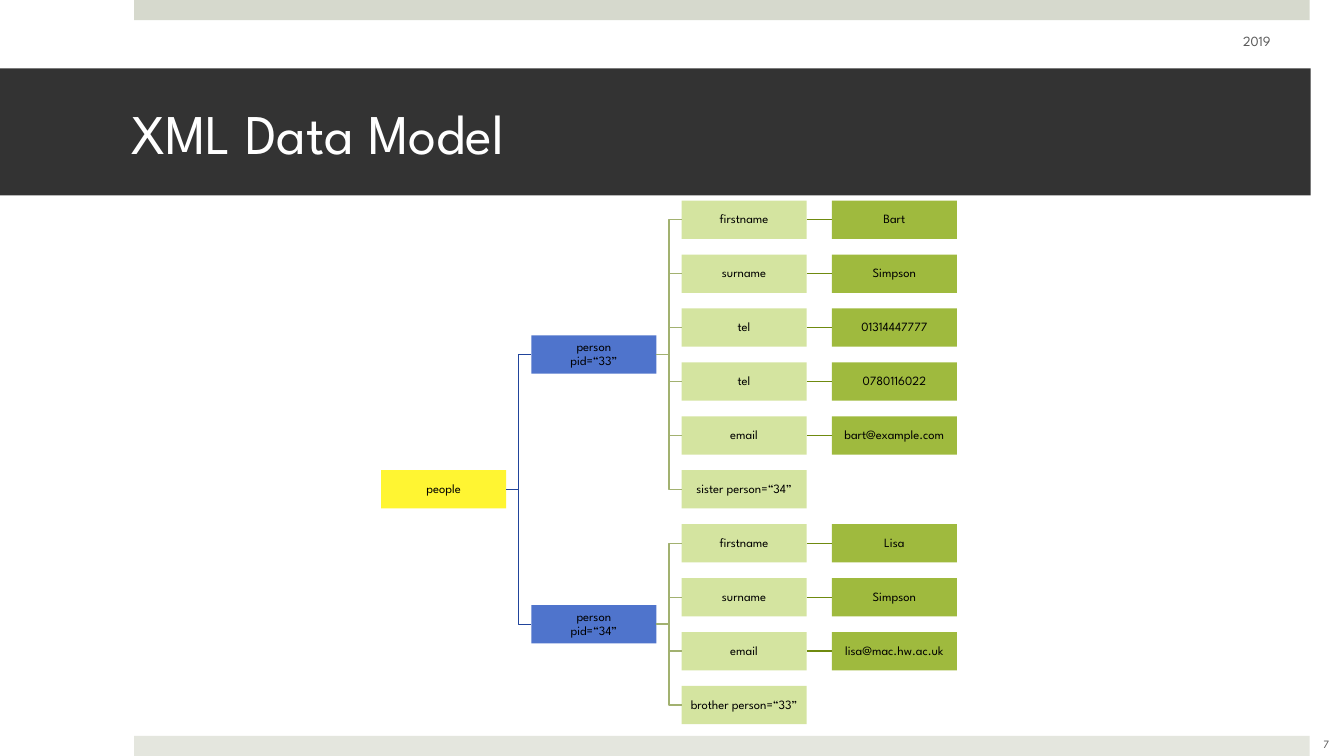
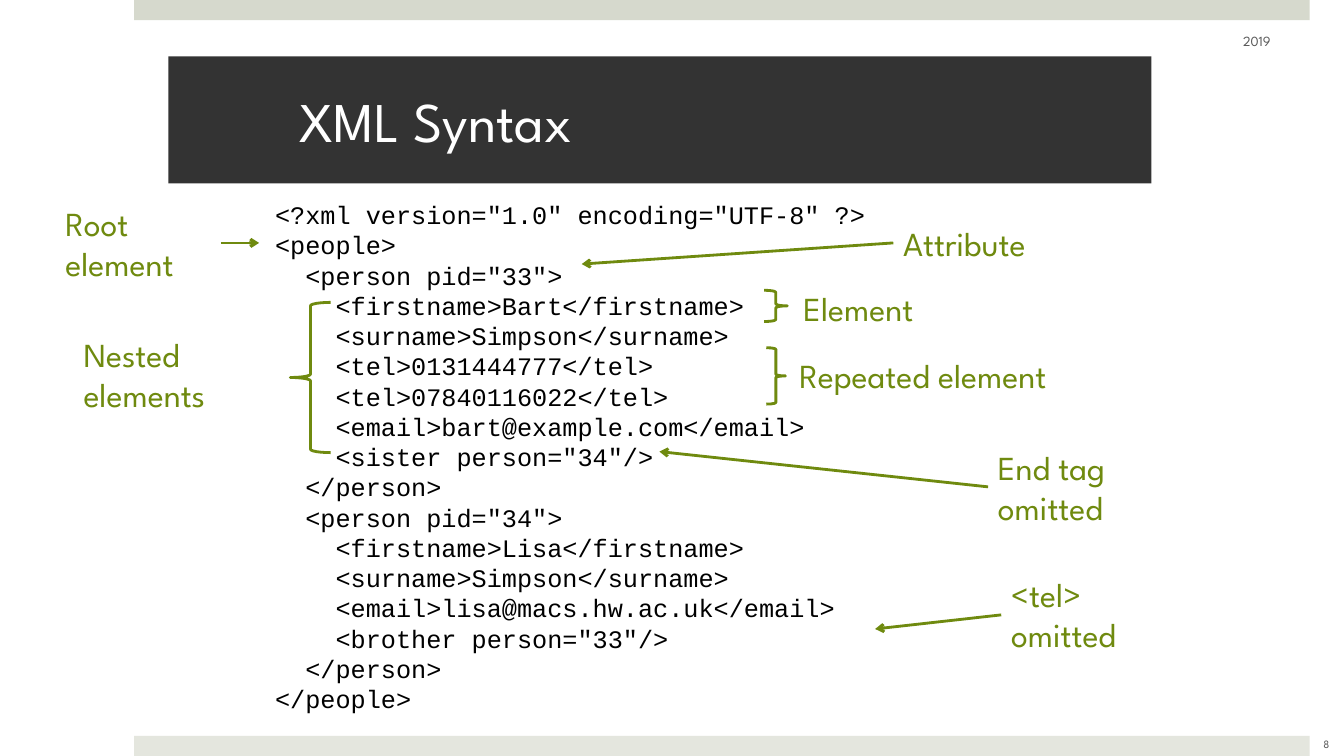
from lxml import etree
from pptx import Presentation
from pptx import util as u
from pptx.dml.color import RGBColor
from pptx.enum import shapes, text
from pptx.oxml.ns import qn

SANS, MONO = "League Spartan", "Courier New"
WHITE, BLACK, DARK, GREY = "FFFFFF", "000000", "333333", "595959"
TOP_BAND, BOTTOM_BAND = "D6D9CD", "E4E6DE"
YELLOW, BLUE, PALE_GREEN, GREEN = "FFF532", "4F74CC", "D4E4A0", "9FBA3E"
NAVY, SAGE, OLIVE = "21449B", "A2B170", "6F8A0F"

TREE = ("people", [
    ("person\vpid=“33”", [
        ("firstname", [("Bart", [])]),
        ("surname", [("Simpson", [])]),
        ("tel", [("01314447777", [])]),
        ("tel", [("0780116022", [])]),
        ("email", [("bart@example.com", [])]),
        ("sister person=“34”", []),
    ]),
    ("person\vpid=“34”", [
        ("firstname", [("Lisa", [])]),
        ("surname", [("Simpson", [])]),
        ("email", [("lisa@mac.hw.ac.uk", [])]),
        ("brother person=“33”", []),
    ]),
])
LEVEL_FILLS = [YELLOW, BLUE, PALE_GREEN, GREEN]
LINK_COLORS = [NAVY, SAGE, OLIVE]
TREE_LEFT, TREE_TOP = 3.78, 1.99
COLUMN_STEP, ROW_STEP = 1.49, 0.535
NODE_W, NODE_H = 1.24, 0.38

CODE = """<?xml version="1.0" encoding="UTF-8" ?>
<people>
  <person pid="33">
    <firstname>Bart</firstname>
    <surname>Simpson</surname>
    <tel>0131444777</tel>
    <tel>07840116022</tel>
    <email>bart@example.com</email>
    <sister person="34"/>
  </person>
  <person pid="34">
    <firstname>Lisa</firstname>
    <surname>Simpson</surname>
    <email>lisa@macs.hw.ac.uk</email>
    <brother person="33"/>
  </person>
</people>"""
LABELS = [
    ("Root\nelement", (0.55, 1.96, 1.64, 0.91)),
    ("Nested\nelements", (0.73, 3.26, 1.69, 0.91)),
    ("Attribute", (8.86, 2.16, 1.61, 0.5)),
    ("Element", (7.87, 2.81, 1.52, 0.5)),
    ("Repeated element", (7.83, 3.47, 3.32, 0.5)),
    ("End tag\nomitted", (9.8, 4.38, 1.57, 0.91)),
    ("<tel>\nomitted", (9.93, 5.64, 1.48, 0.91)),
]
ARROWS = [
    (2.19, 2.41, 2.57, 2.41),
    (8.86, 2.41, 5.77, 2.62),
    (9.8, 4.83, 6.54, 4.48),
    (9.93, 6.1, 8.68, 6.24),
]
BRACES = [
    ("LEFT_BRACE", (2.88, 3, 0.4, 1.49)),
    ("RIGHT_BRACE", (7.58, 2.88, 0.23, 0.31)),
    ("RIGHT_BRACE", (7.6, 3.45, 0.19, 0.56)),
]


def rgb(color):
    return RGBColor.from_string(color)


def inches(values):
    return [u.Inches(v) for v in values]


def write(sp, content, size, color, font=SANS, align="LEFT", anchor="MIDDLE",
          insets=(0.1, 0.05, 0.1, 0.05), spacing=None):
    tf = sp.text_frame
    tf.word_wrap = True
    tf.vertical_anchor = getattr(text.MSO_ANCHOR, anchor)
    (tf.margin_left, tf.margin_top,
     tf.margin_right, tf.margin_bottom) = inches(insets)
    tf.text = content
    for p in tf.paragraphs:
        p.alignment = getattr(text.PP_ALIGN, align)
        p.line_spacing = spacing
        for r in p.runs:
            r.font.size = u.Pt(size)
            r.font.name = font
            r.font.color.rgb = rgb(color)


def add_text(s, box, *args, **kwargs):
    write(s.shapes.add_textbox(*inches(box)), *args, **kwargs)


def add_block(s, box, fill):
    sp = s.shapes.add_shape(shapes.MSO_SHAPE.RECTANGLE, *inches(box))
    sp.shadow.inherit = False
    sp.fill.solid()
    sp.fill.fore_color.rgb = rgb(fill)
    sp.line.fill.background()
    return sp


def add_line(s, ends, color, width, kind="STRAIGHT", arrow=False):
    cx = s.shapes.add_connector(getattr(shapes.MSO_CONNECTOR, kind), *inches(ends))
    cx.line.color.rgb = rgb(color)
    cx.line.width = u.Pt(width)
    if arrow:
        etree.SubElement(cx.line._get_or_add_ln(), qn("a:tailEnd"), type="arrow")
    etree.SubElement(cx._element.spPr, qn("a:effectLst"))
    return cx


def add_slide(prs, title, title_box, number):
    s = prs.slides.add_slide(prs.slide_layouts[6])
    add_block(s, (1.33, 0, 11.66, 0.2), TOP_BAND)
    add_block(s, (1.33, 7.3, 11.66, 0.2), BOTTOM_BAND)
    write(add_block(s, title_box, DARK), title, 40, WHITE,
          insets=(1.3, 0.05, 0.3, 0.05))
    add_text(s, (9.59, 0.21, 3.11, 0.4), "2019", 10, GREY, align="RIGHT")
    add_text(s, (12.82, 7.18, 0.67, 0.4), number, 8, GREY, align="CENTER")
    return s


def add_node(s, node, level=0, first_row=0):
    label, children = node
    placed, next_row = [], first_row
    for child in children:
        sp, row, next_row = add_node(s, child, level + 1, next_row)
        placed.append((sp, row))
    row = (placed[0][1] + placed[-1][1]) / 2 if placed else first_row
    left = TREE_LEFT + level * COLUMN_STEP
    top = TREE_TOP + row * ROW_STEP
    box = add_block(s, (left, top, NODE_W, NODE_H), LEVEL_FILLS[level])
    write(box, label, 9, BLACK, align="CENTER", insets=(0.01,) * 4, spacing=0.9)
    for sp, child_row in placed:
        middle = top + NODE_H / 2
        ends = (left + NODE_W, middle,
                left + COLUMN_STEP, middle + (child_row - row) * ROW_STEP)
        kind = "STRAIGHT" if child_row == row else "ELBOW"
        cx = add_line(s, ends, LINK_COLORS[level], 1, kind)
        cx.begin_connect(box, 3)
        cx.end_connect(sp, 1)
    return box, row, max(next_row, first_row + 1)


def build_model(prs):
    s = add_slide(prs, "XML Data Model", (0, 0.68, 13, 1.26), "7")
    add_node(s, TREE)


def build_syntax(prs):
    s = add_slide(prs, "XML Syntax", (1.67, 0.56, 9.75, 1.26), "8")
    add_text(s, (2.63, 1.93, 6.96, 5.25), CODE, 18, BLACK, font=MONO,
             anchor="TOP", spacing=u.Pt(21.6))
    for label, box in LABELS:
        add_text(s, box, label, 24, OLIVE, anchor="TOP")
    for ends in ARROWS:
        add_line(s, ends, OLIVE, 2, arrow=True)
    for kind, box in BRACES:
        sp = s.shapes.add_shape(getattr(shapes.MSO_SHAPE, kind), *inches(box))
        sp.shadow.inherit = False
        sp.fill.background()
        sp.line.color.rgb = rgb(OLIVE)
        sp.line.width = u.Pt(2)


def main():
    prs = Presentation()
    prs.slide_width, prs.slide_height = inches((13.33, 7.5))
    build_model(prs)
    build_syntax(prs)
    prs.save("out.pptx")


if __name__ == "__main__":
    main()
